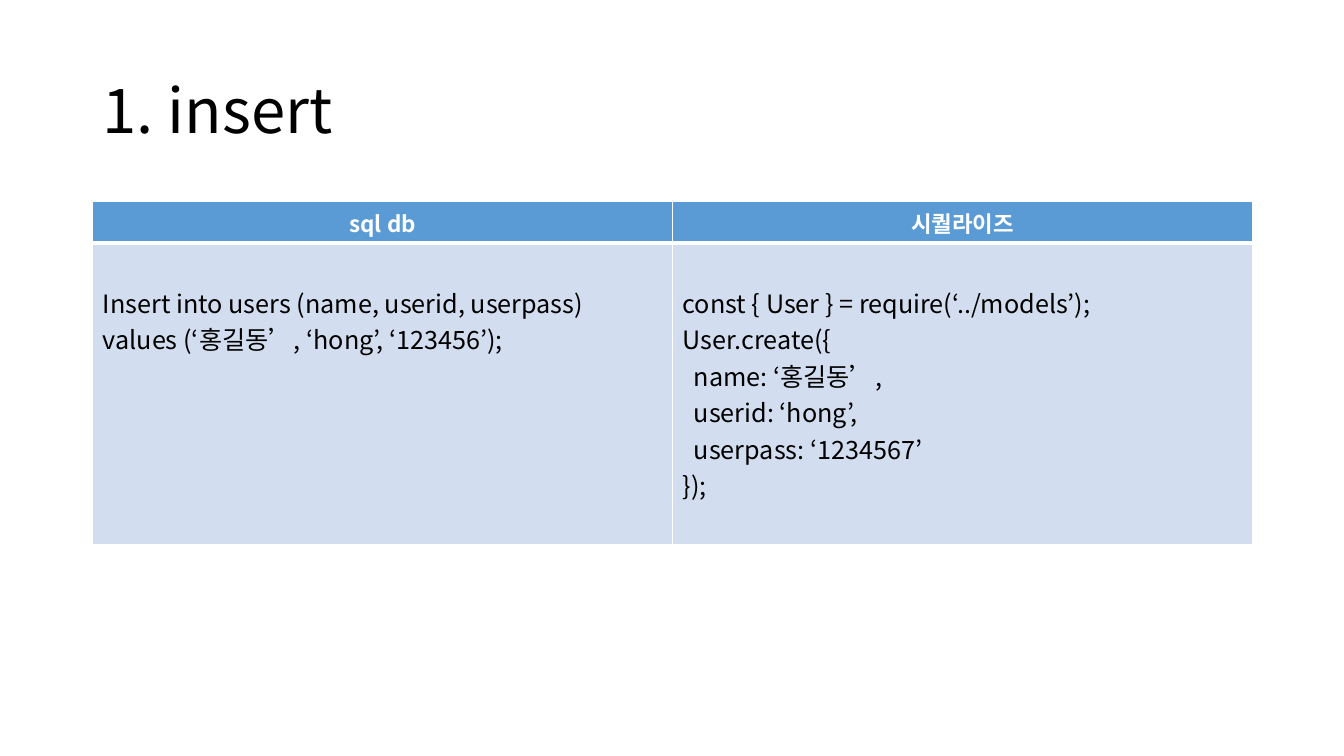
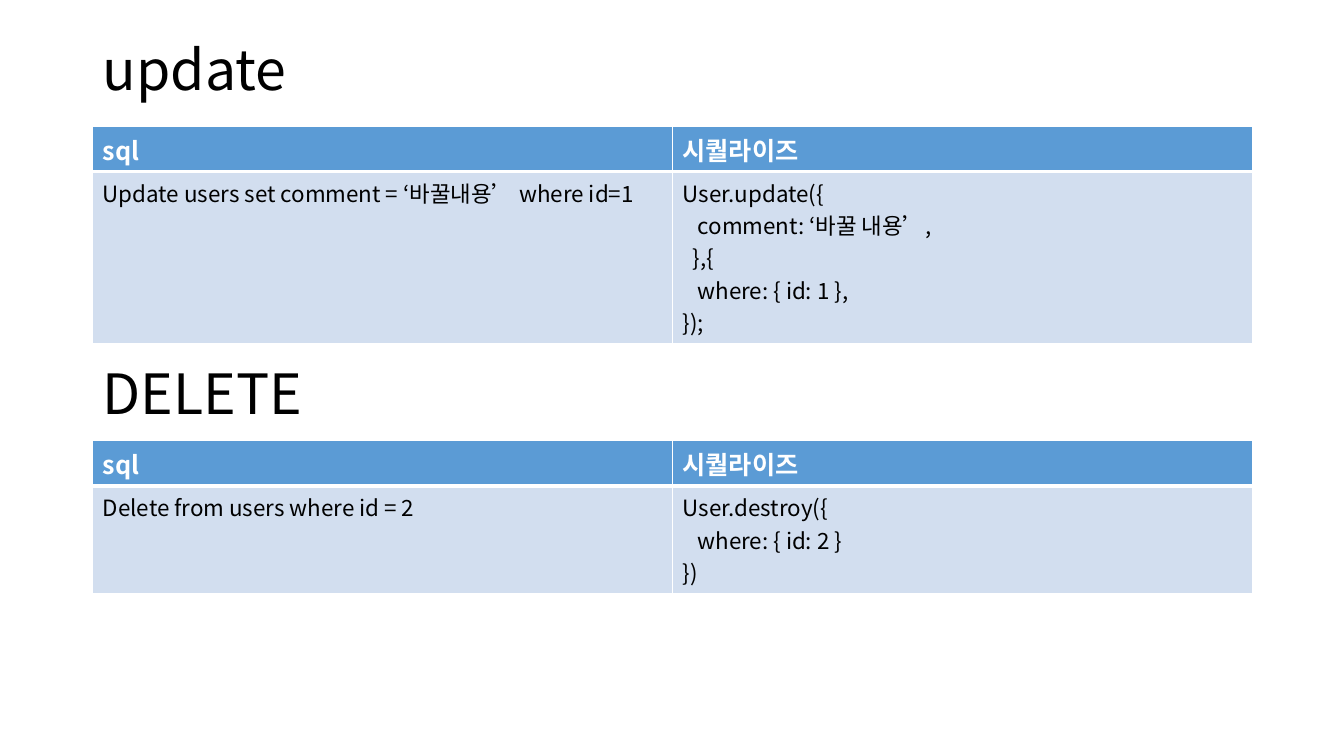
from pptx import Presentation
from pptx.dml.color import RGBColor
from pptx.enum.text import MSO_ANCHOR, PP_ALIGN
from pptx.oxml import parse_xml
from pptx.oxml.ns import nsdecls, qn
from pptx.util import Inches, Pt

FONT = "Noto Sans CJK KR"
BLACK, WHITE, BLUE, PALE = "000000", "FFFFFF", "5B9BD5", "D2DEEF"
LEFT, WIDTH = 0.92, 11.5
MARGIN = 0.05
SPACE_WIDTH = 0.224  # share of the font size

# Leading spaces in the code lines become paragraph indents.
INSERT = {
    "title": "1. insert", "title_size": 44, "title_top": 0.4,
    "title_height": 1.45, "spacing": 0.9,
    "table_top": 2, "rows": (0.41, 2.99), "sizes": (16, 18),
    "align": PP_ALIGN.CENTER, "body_offset": 0.36,
    "heads": ("sql db", "시퀄라이즈"),
    "codes": (
        ["Insert into users (name, userid, userpass) "
         "values (‘홍길동’, ‘hong’, ‘123456’);"],
        ["const { User } = require(‘../models’);",
         "User.create({",
         "  name: ‘홍길동’,",
         "  userid: ‘hong’,",
         "  userpass: ‘1234567’",
         "});"],
    ),
}
COMPACT = {
    "title_size": 39.6, "title_height": 0.64, "sizes": (18, 16),
    "align": PP_ALIGN.LEFT, "body_offset": 0,
    "heads": ("sql", "시퀄라이즈"),
}
UPDATE = COMPACT | {
    "title": "update", "title_top": 0.4, "spacing": 0.9,
    "table_top": 1.25, "rows": (0.45, 1.71),
    "codes": (
        ["Update users set comment = ‘바꿀내용’ where id=1"],
        ["User.update({",
         "   comment: ‘바꿀 내용’,",
         "  },{",
         "   where: { id: 1 },",
         "});"],
    ),
}
DELETE = COMPACT | {
    "title": "DELETE", "title_top": 3.63, "spacing": 0.8,
    "table_top": 4.37, "rows": (0.45, 1.07),
    "codes": (
        ["Delete from users where id = 2"],
        ["User.destroy({",
         "   where: { id: 2 }",
         "})"],
    ),
}
SLIDES = [[INSERT], [UPDATE, DELETE]]


def color(value):
    """Turn a hex string into a colour."""
    return RGBColor.from_string(value)


def write(frame, lines, size, ink, bold=False, align=PP_ALIGN.LEFT):
    """Write lines as paragraphs, turning leading spaces into indents."""
    frame.word_wrap = True
    for number, line in enumerate(lines):
        paragraph = frame.add_paragraph() if number else frame.paragraphs[0]
        text = line.lstrip()
        paragraph.text = text
        paragraph.alignment = align
        font = paragraph.font
        font.name, font.size, font.bold = FONT, Pt(size), bold
        font.color.rgb = color(ink)
        properties = paragraph._p.get_or_add_pPr()
        properties.find(qn("a:defRPr")).append(
            parse_xml(f'<a:ea {nsdecls("a")} typeface="{FONT}"/>'))
        indent = (len(line) - len(text)) * SPACE_WIDTH * size
        if indent:
            properties.set("marL", str(Pt(indent)))
            properties.set("indent", "0")


def add_title(slide, section):
    """Add a section's heading."""
    box = slide.shapes.add_textbox(
        Inches(LEFT), Inches(section["title_top"]),
        Inches(WIDTH), Inches(section["title_height"]))
    frame = box.text_frame
    write(frame, [section["title"]], section["title_size"], BLACK)
    frame.vertical_anchor = MSO_ANCHOR.MIDDLE
    frame.paragraphs[0].line_spacing = section["spacing"]


def style_cell(cell, fill, bottom, top):
    """Set a cell's fill and white borders; bottom and top are in points."""
    properties = cell._tc.get_or_add_tcPr()
    for side, width in (("L", 1), ("R", 1), ("T", top), ("B", bottom)):
        properties.append(parse_xml(
            f'<a:ln{side} {nsdecls("a")} w="{Pt(width)}"><a:solidFill>'
            f'<a:srgbClr val="{WHITE}"/></a:solidFill></a:ln{side}>'))
    cell.fill.solid()
    cell.fill.fore_color.rgb = color(fill)


def add_comparison(slide, section):
    """Add the table that sets a query beside its library call."""
    heights = section["rows"]
    table = slide.shapes.add_table(
        2, 2, Inches(LEFT), Inches(section["table_top"]),
        Inches(WIDTH), Inches(sum(heights))).table
    for row, height in zip(table.rows, heights):
        row.height = Inches(height)
    head_size, body_size = section["sizes"]
    for column, (head, code) in enumerate(
            zip(section["heads"], section["codes"])):
        head_cell, body_cell = table.cell(0, column), table.cell(1, column)
        style_cell(head_cell, BLUE, bottom=3, top=1)
        style_cell(body_cell, PALE, bottom=1, top=3)
        write(head_cell.text_frame, [head], head_size, WHITE, True,
              section["align"])
        write(body_cell.text_frame, code, body_size, BLACK)
        body_cell.margin_top = Inches(MARGIN + section["body_offset"])


presentation = Presentation()
presentation.slide_width, presentation.slide_height = Inches(13.33), Inches(7.5)
for sections in SLIDES:
    slide = presentation.slides.add_slide(presentation.slide_layouts[6])
    for section in sections:
        add_title(slide, section)
        add_comparison(slide, section)
presentation.save("out.pptx")
